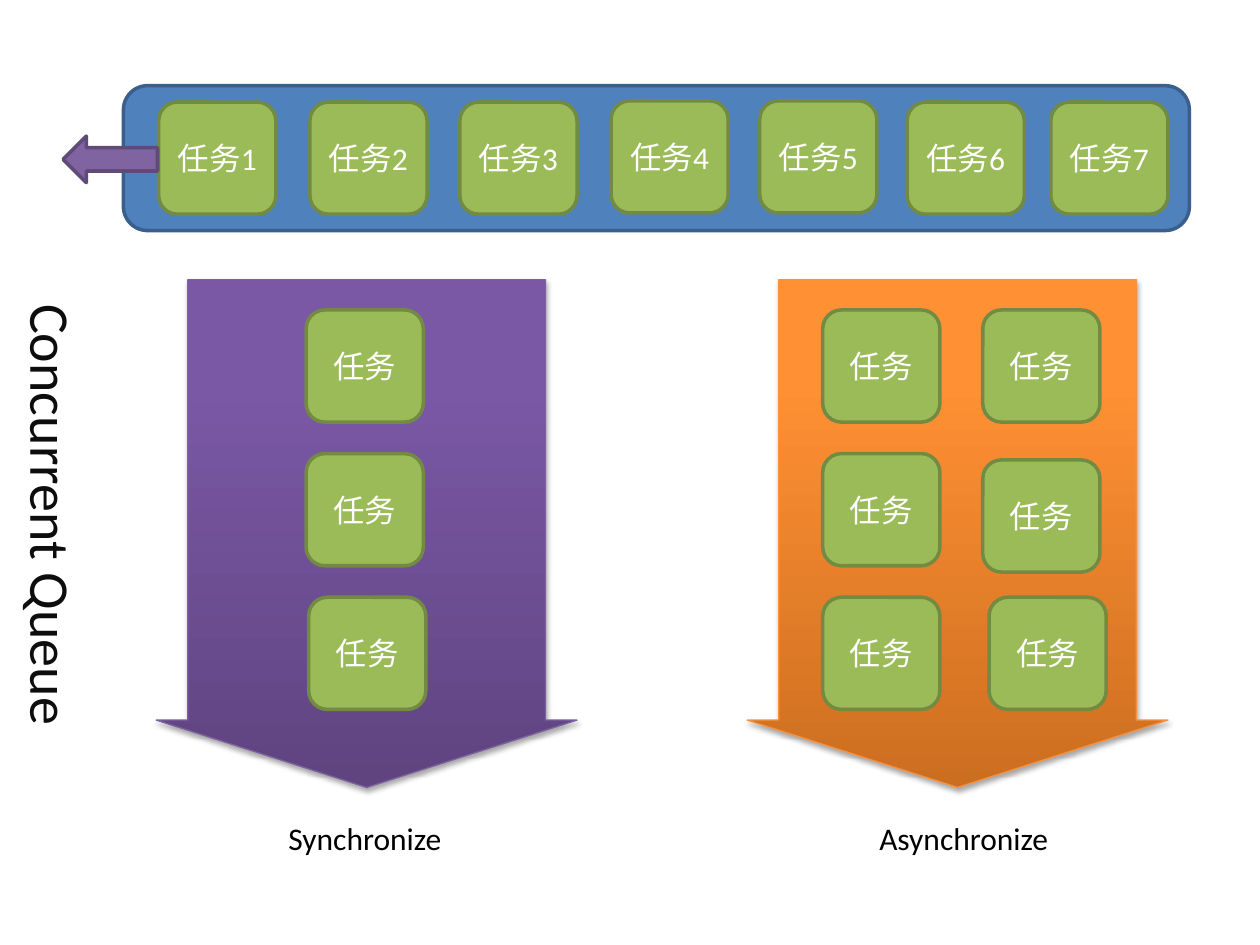
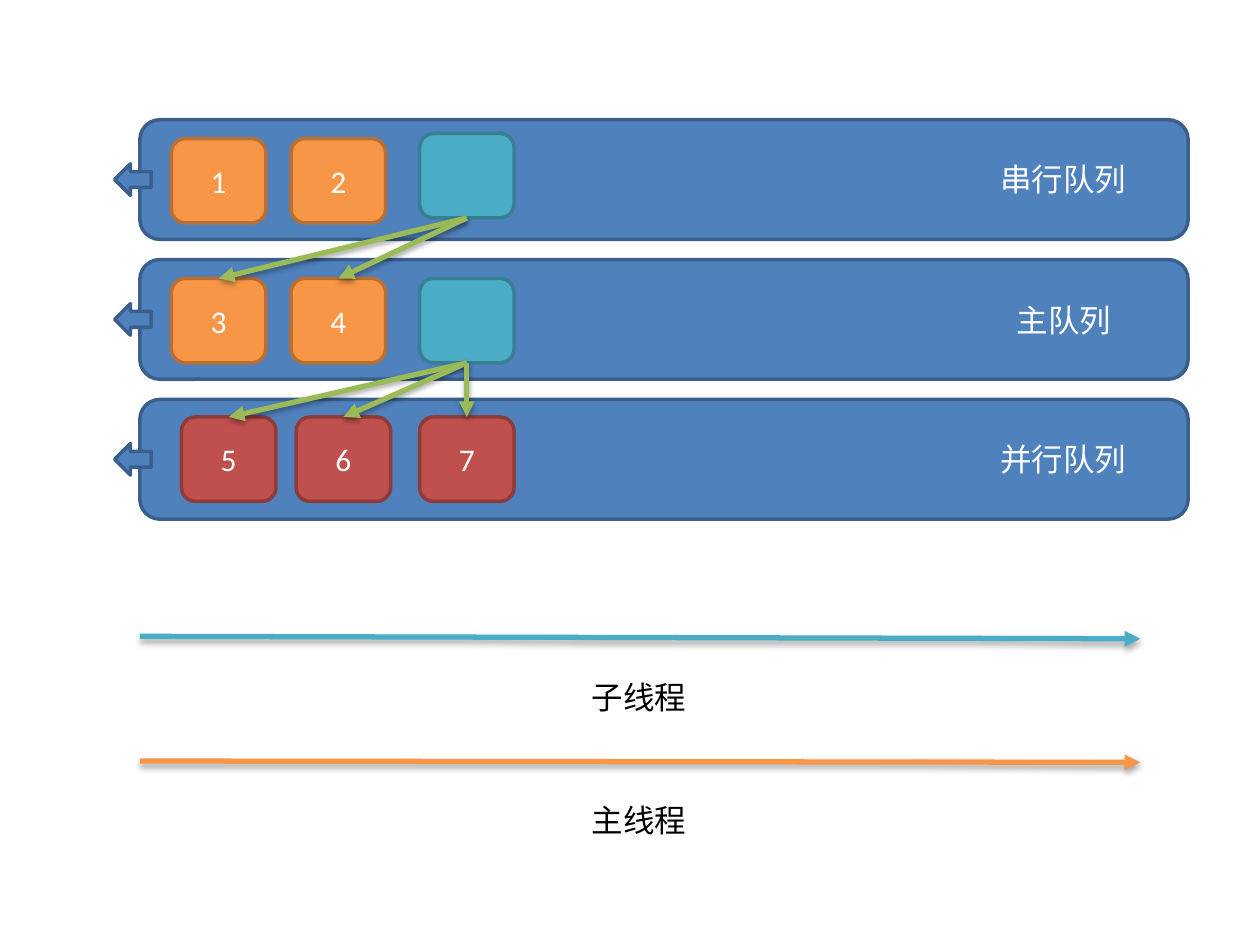
from dataclasses import dataclass
from typing import NamedTuple

from lxml import etree
from pptx import Presentation, util as u
from pptx.dml.color import RGBColor
from pptx.enum import shapes, text
from pptx.oxml import parse_xml
from pptx.oxml.ns import nsdecls, qn
from pptx.shapes.autoshape import Shape
from pptx.shapes.connector import Connector
from pptx.slide import Slide

PX = u.Inches(1) // 100
FONT = "Calibri"
WHITE, BLACK, INK = "FFFFFF", "000000", "0D0D0D"
GEOMETRY = shapes.MSO_SHAPE
BOTTOM_SITE, TOP_SITE = 2, 0


class Paint(NamedTuple):
    fill: str
    line: str


class Box(NamedTuple):
    left: int
    top: int
    width: int
    height: int


@dataclass(frozen=True)
class Lane:
    box: Box
    caption: str
    caption_left: int
    stops: tuple[tuple[int, str], ...]
    outline: str
    tasks: tuple[tuple[int, int], ...]


@dataclass(frozen=True)
class Queue:
    title: str
    title_box: Box
    top: int
    task_top: int
    task_lefts: tuple[int, ...]
    first_number: int
    paint: Paint
    block_top: int | None = None


@dataclass(frozen=True)
class Thread:
    title: str
    color: str
    start_y: int
    end_y: int
    title_top: int


BLUE = Paint("4F81BD", "3A5F8C")
GREEN = Paint("9BBB59", "738A42")
PURPLE = Paint("8064A2", "5F4A78")
ORANGE = Paint("F79646", "B76F34")
TEAL = Paint("4BACC6", "377F92")
RED = Paint("C0504D", "8E3B39")

QUEUED_TASKS = ((126, 81), (246, 81), (365, 81), (485, 80), (603, 80), (720, 81), (834, 81))
LANES = (
    Lane(Box(124, 222, 334, 403), "Synchronize", 219,
         ((0, "5F4480"), (80, "7B58A6"), (100, "7C57A8")), "7D60A0",
         ((243, 246), (243, 360), (245, 474))),
    Lane(Box(593, 222, 334, 403), "Asynchronize", 688,
         ((0, "CC6E20"), (80, "FF9034"), (100, "FF9136")), "F69240",
         ((653, 246), (780, 246), (653, 360), (780, 365), (653, 474), (785, 474))),
)
QUEUES = (
    Queue("串行队列", Box(784, 122, 121, 40), 95, 110, (136, 231), 1, ORANGE, 106),
    Queue("主队列", Box(797, 234, 96, 40), 206, 221, (136, 231), 3, ORANGE, 221),
    Queue("并行队列", Box(784, 344, 121, 40), 317, 331, (144, 235, 333), 5, RED),
)
THREADS = (
    Thread("子线程", TEAL.fill, 505, 507, 533),
    Thread("主线程", ORANGE.fill, 604, 605, 631),
)


def rgb(color: str) -> RGBColor:
    return RGBColor.from_string(color)


def emu(*lengths: int) -> list[int]:
    return [length * PX for length in lengths]


def write(target: Shape, words: str, color: str, size: int = 18) -> None:
    run = target.text_frame.paragraphs[0].add_run()
    run.text = words
    run.font.name, run.font.size = FONT, u.Pt(size)
    run.font.color.rgb = rgb(color)


def add_block(slide: Slide, geometry: GEOMETRY, box: Box, paint: Paint, words: str = "") -> Shape:
    block = slide.shapes.add_shape(geometry, *emu(*box))
    block.shadow.inherit = False
    block.fill.solid()
    block.fill.fore_color.rgb = rgb(paint.fill)
    block.line.color.rgb = rgb(paint.line)
    block.line.width = u.Pt(2)
    if words:
        block.text_frame.vertical_anchor = text.MSO_ANCHOR.MIDDLE
        block.text_frame.paragraphs[0].alignment = text.PP_ALIGN.CENTER
        write(block, words, WHITE)
    return block


def add_label(slide: Slide, box: Box, words: str, color: str = BLACK,
              size: int = 18, wrap: bool = False) -> Shape:
    label = slide.shapes.add_textbox(*emu(*box))
    label.text_frame.word_wrap = wrap
    label.text_frame.auto_size = text.MSO_AUTO_SIZE.SHAPE_TO_FIT_TEXT
    write(label, words, color, size)
    return label


def cast_shadow(part: Shape | Connector) -> None:
    properties = part._element.spPr
    for effects in properties.findall(qn("a:effectLst")):
        properties.remove(effects)
    properties.append(parse_xml(
        f'<a:effectLst {nsdecls("a")}><a:outerShdw blurRad="{u.Pt(3.1)}" dist="{u.Pt(1.8)}" '
        'dir="5400000" rotWithShape="0"><a:srgbClr val="000000"><a:alpha val="35000"/>'
        '</a:srgbClr></a:outerShdw></a:effectLst>'))


def fill_gradient(shape: Shape, stops: tuple[tuple[int, str], ...]) -> None:
    shape.fill.background()
    marks = "".join(f'<a:gs pos="{place * 1000}"><a:srgbClr val="{color}"/></a:gs>'
                    for place, color in stops)
    gradient = parse_xml(f'<a:gradFill {nsdecls("a")} rotWithShape="1"><a:gsLst>{marks}</a:gsLst>'
                         '<a:lin ang="16200000" scaled="0"/></a:gradFill>')
    properties = shape._element.spPr
    properties.replace(properties.find(qn("a:noFill")), gradient)


def add_arrow(slide: Slide, color: str, start: tuple[int, int] = (0, 0),
              end: tuple[int, int] = (0, 0)) -> Connector:
    arrow = slide.shapes.add_connector(shapes.MSO_CONNECTOR.STRAIGHT, *emu(*start, *end))
    arrow.line.color.rgb = rgb(color)
    arrow.line.width = u.Pt(3)
    etree.SubElement(arrow.line._get_or_add_ln(), qn("a:tailEnd"), type="triangle")
    cast_shadow(arrow)
    return arrow


def add_task(slide: Slide, place: tuple[int, int], words: str) -> None:
    add_block(slide, GEOMETRY.ROUNDED_RECTANGLE, Box(*place, 93, 89), GREEN, words)


def add_lane(slide: Slide, lane: Lane) -> None:
    arrow = add_block(slide, GEOMETRY.DOWN_ARROW, lane.box, Paint(WHITE, lane.outline))
    arrow.adjustments[0], arrow.adjustments[1] = 0.85, 0.16
    arrow.line.width = u.Pt(0.75)
    fill_gradient(arrow, lane.stops)
    cast_shadow(arrow)
    for place in lane.tasks:
        add_task(slide, place, "任务")
    add_label(slide, Box(lane.caption_left, 645, 155, 40), lane.caption, wrap=True)


def build_concurrent_queue(slide: Slide) -> None:
    add_block(slide, GEOMETRY.ROUNDED_RECTANGLE, Box(98, 68, 846, 115), BLUE)
    for number, place in enumerate(QUEUED_TASKS, 1):
        add_task(slide, place, f"任务{number}")
    add_block(slide, GEOMETRY.LEFT_ARROW, Box(50, 108, 75, 37), PURPLE)
    for lane in LANES:
        add_lane(slide, lane)
    heading = add_label(slide, Box(-155, 396, 393, 64), "Concurrent Queue", INK, 32, True)
    heading.rotation = 90


def add_queue(slide: Slide, queue: Queue) -> tuple[list[Shape], Shape | None]:
    add_block(slide, GEOMETRY.ROUNDED_RECTANGLE, Box(111, queue.top, 832, 95), BLUE)
    add_block(slide, GEOMETRY.LEFT_ARROW, Box(91, queue.top + 35, 29, 25), BLUE)
    add_label(slide, queue.title_box, queue.title, WHITE)
    tasks = [add_block(slide, GEOMETRY.ROUNDED_RECTANGLE, Box(left, queue.task_top, 75, 67),
                       queue.paint, str(number))
             for number, left in enumerate(queue.task_lefts, queue.first_number)]
    if queue.block_top is None:
        return tasks, None
    dispatcher = add_block(slide, GEOMETRY.ROUNDED_RECTANGLE,
                           Box(333, queue.block_top, 75, 67), TEAL)
    return tasks, dispatcher


def build_queue_dispatch(slide: Slide) -> None:
    rows = [add_queue(slide, queue) for queue in QUEUES]
    for (_, dispatcher), (tasks, _) in zip(rows, rows[1:]):
        for task in tasks:
            arrow = add_arrow(slide, GREEN.fill)
            arrow.begin_connect(dispatcher, BOTTOM_SITE)
            arrow.end_connect(task, TOP_SITE)
    for thread in THREADS:
        add_arrow(slide, thread.color, (111, thread.start_y), (905, thread.end_y))
        add_label(slide, Box(460, thread.title_top, 96, 40), thread.title)


def main() -> None:
    deck = Presentation()
    deck.slide_width, deck.slide_height = emu(1000, 750)
    for build in (build_concurrent_queue, build_queue_dispatch):
        build(deck.slides.add_slide(deck.slide_layouts[6]))
    deck.save("out.pptx")


if __name__ == "__main__":
    main()
